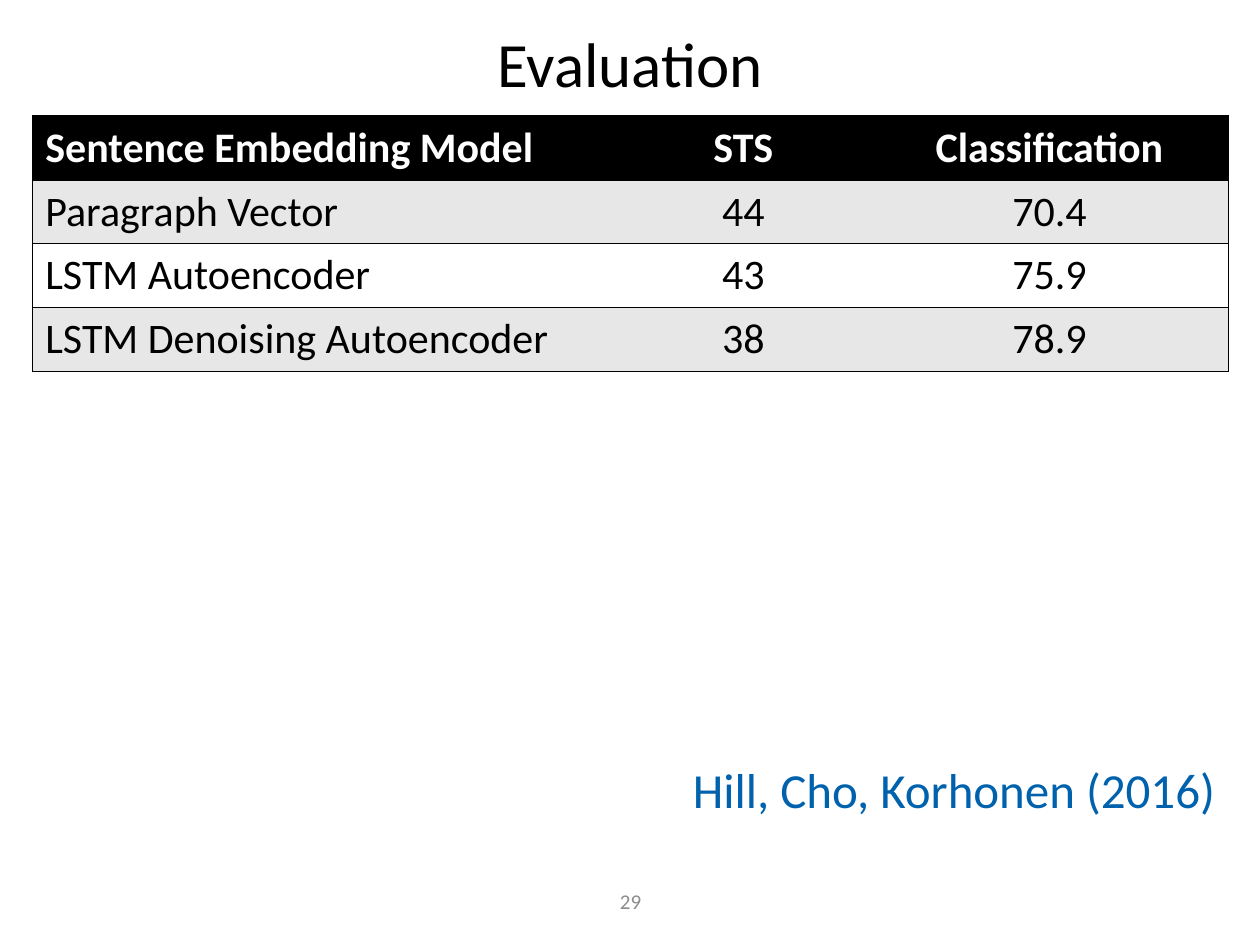
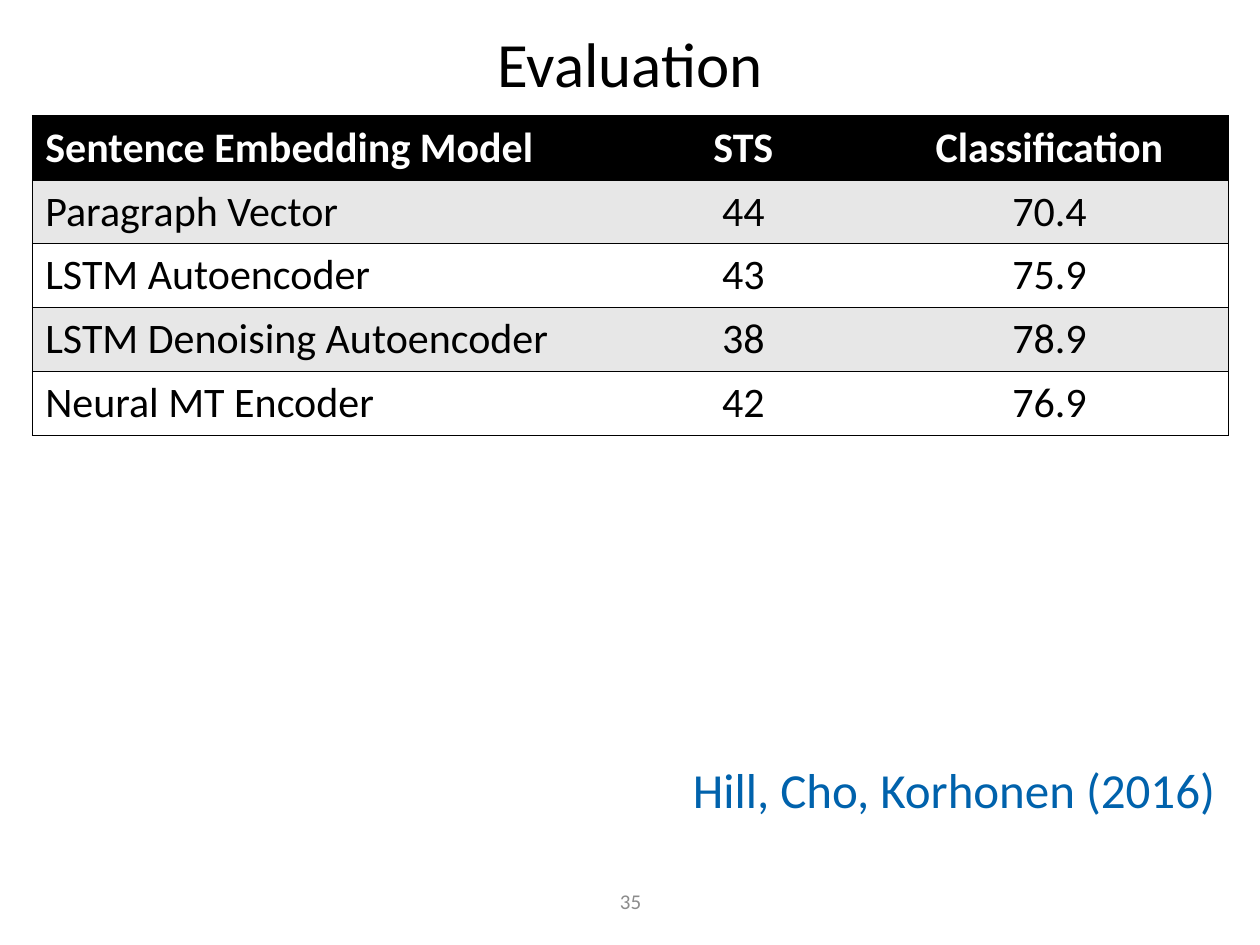
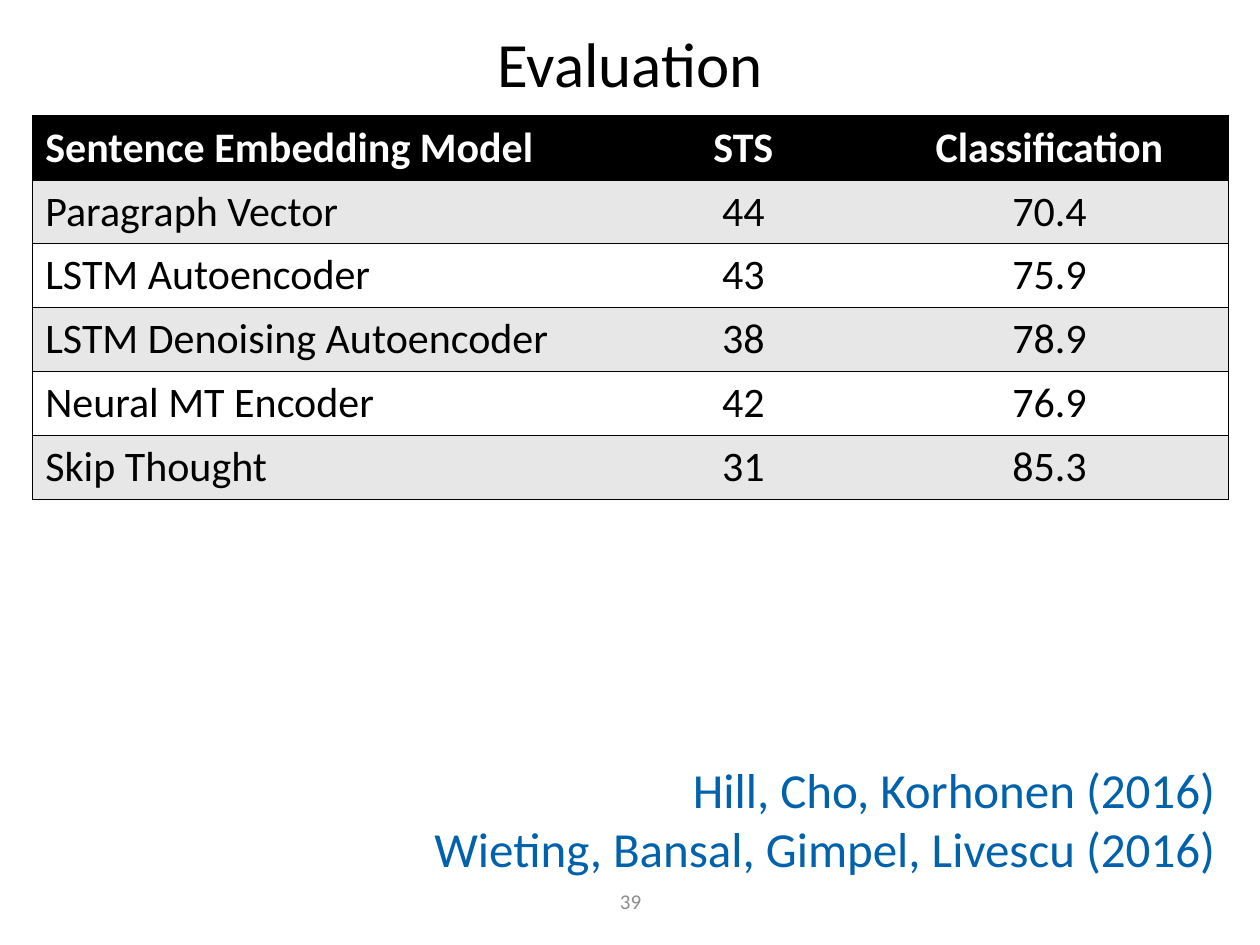
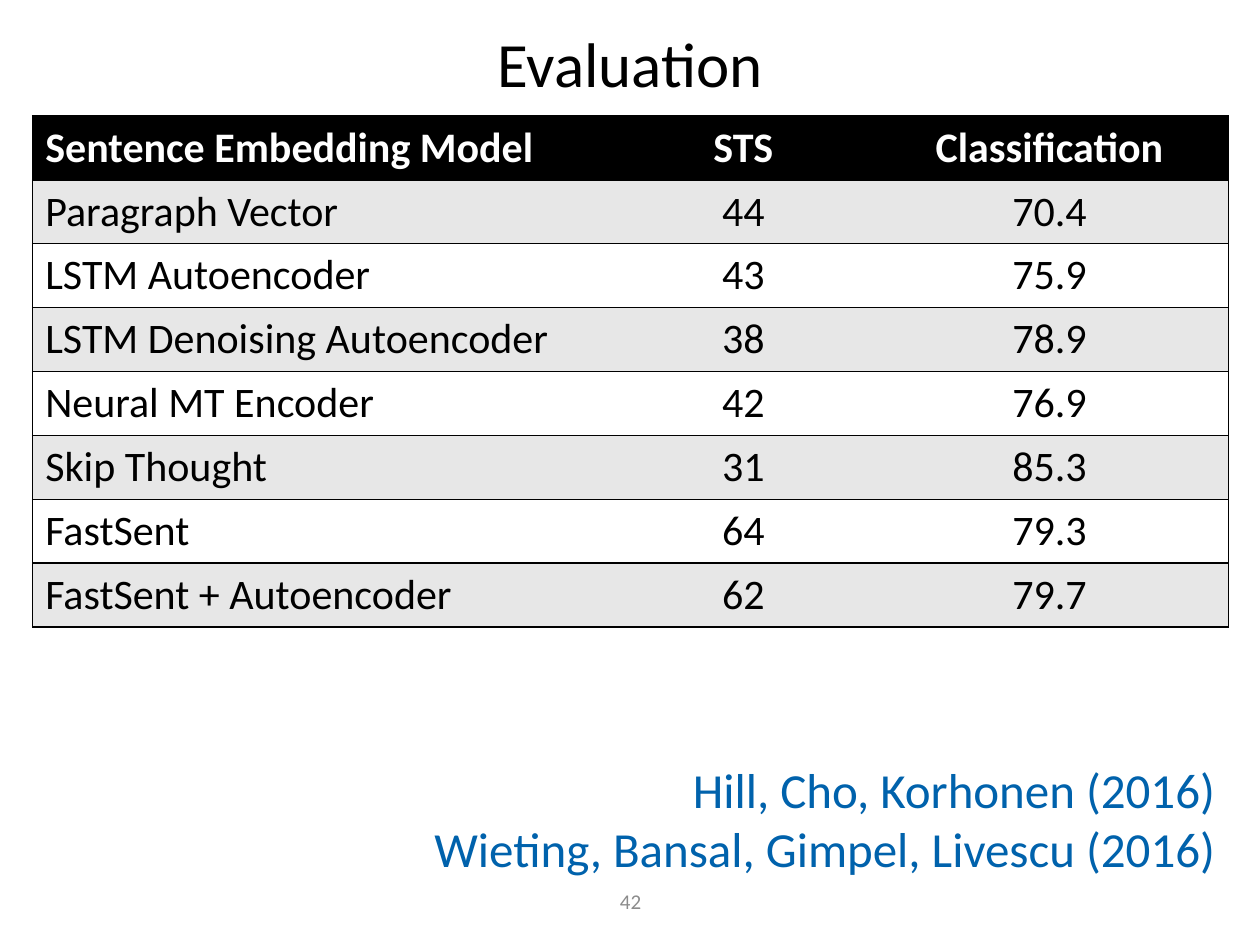
import pptx
import pptx.dml.color
import pptx.enum.text
import pptx.oxml
import pptx.oxml.ns
import pptx.util
from dataclasses import dataclass

Inches = pptx.util.Inches
Pt = pptx.util.Pt
Color = pptx.dml.color.RGBColor.from_string
Align = pptx.enum.text.PP_ALIGN
Anchor = pptx.enum.text.MSO_ANCHOR
Fit = pptx.enum.text.MSO_AUTO_SIZE


@dataclass(frozen=True)
class Theme:
    font: str = "Calibri"
    ink: str = "000000"
    paper: str = "FFFFFF"
    band: str = "E7E7E7"
    cite: str = "0062AC"
    mute: str = "8C8C8C"
    title: int = 36
    body: int = 24
    note: int = 28
    foot: int = 12
    rule: float = 1


THEME = Theme()

# Boxes: left, top, width, height in inches
TITLE = (0.5, 0.1, 9, 0.79)
GRID = (0.26, 0.92, 9.49, 0.5)  # height of one row
CITE = (3.12, 5.98, 6.62, 0.57)
FOOT = (3.42, 6.95, 3.17, 0.4)
COLS = (4.63, 2.02, 2.84)
ROW = 0.41  # least row height
LINE = 0.47  # each further citation line

HEAD = ("Sentence Embedding Model", "STS", "Classification")
MODELS = (
    ("Paragraph Vector", "44", "70.4"),
    ("LSTM Autoencoder", "43", "75.9"),
    ("LSTM Denoising Autoencoder", "38", "78.9"),
    ("Neural MT Encoder", "42", "76.9"),
    ("Skip Thought", "31", "85.3"),
    ("FastSent", "64", "79.3"),
    ("FastSent + Autoencoder", "62", "79.7"),
)
PAPERS = ("Hill, Cho, Korhonen (2016)", "Wieting, Bansal, Gimpel, Livescu (2016)")

# Page number, models shown, papers cited
PAGES = ((29, 3, 1), (35, 4, 1), (39, 5, 2), (42, 7, 2))


def apply(item, style):
    for name, value in style.items():
        setattr(item, name, value)


def write(frame, lines, size, color, align, bold=False):
    frame.text = "\n".join(lines)
    for para in frame.paragraphs:
        para.alignment = align
        apply(para.font, {"name": THEME.font, "size": Pt(size), "bold": bold})
        para.font.color.rgb = Color(color)


def place(shape, box):
    sides = ("left", "top", "width", "height")
    apply(shape, dict(zip(sides, map(Inches, box))))


def edge(cell, side, color):
    """Draw one cell border, or clear it when color is None."""
    paint = (f'<a:solidFill><a:srgbClr val="{color}"/></a:solidFill>'
             if color else "<a:noFill/>")
    space = pptx.oxml.ns.nsdecls("a")
    cell._tc.get_or_add_tcPr().append(pptx.oxml.parse_xml(
        f'<a:ln{side} {space} w="{Pt(THEME.rule)}">{paint}</a:ln{side}>'))


def add_title(slide, box):
    shape = slide.shapes.title
    place(shape, box)
    shape.text_frame.vertical_anchor = Anchor.MIDDLE
    write(shape.text_frame, ["Evaluation"], THEME.title, THEME.ink, Align.CENTER)


def add_grid(slide, box, rows):
    left, top, width, step = box
    size = (left, top, width, step * len(rows))
    shape = slide.shapes.add_table(len(rows), len(COLS), *map(Inches, size))
    table = shape.table
    for col, wide in zip(table.columns, COLS):
        col.width = Inches(wide)
    for i, row in enumerate(rows):
        table.rows[i].height = Inches(ROW)
        head = i == 0
        fill = THEME.ink if head else (THEME.paper, THEME.band)[i % 2]
        for j, text in enumerate(row):
            cell = table.cell(i, j)
            # Only the outer sides and the row rules are drawn
            edge(cell, "L", THEME.ink if j == 0 else None)
            edge(cell, "R", THEME.ink if j == len(COLS) - 1 else None)
            edge(cell, "T", THEME.ink)
            edge(cell, "B", THEME.ink)
            cell.fill.solid()
            cell.fill.fore_color.rgb = Color(fill)
            write(cell.text_frame, [text], THEME.body,
                  THEME.paper if head else THEME.ink,
                  Align.CENTER if j else Align.LEFT, head)
    shape.height = Inches(size[3])


def add_text(slide, box, lines, size, color, align, style):
    frame = slide.shapes.add_textbox(*map(Inches, box)).text_frame
    apply(frame, {"word_wrap": True, **style})
    write(frame, lines, size, color, align)


def add_cite(slide, box, lines):
    left, top, width, height = box
    tall = height + LINE * (len(lines) - 1)
    add_text(slide, (left, top, width, tall), lines, THEME.note, THEME.cite,
             Align.RIGHT, {"auto_size": Fit.SHAPE_TO_FIT_TEXT})


def add_foot(slide, box, page):
    add_text(slide, box, [str(page)], THEME.foot, THEME.mute,
             Align.CENTER, {"vertical_anchor": Anchor.MIDDLE})


def add_page(deck, page, shown, cited):
    slide = deck.slides.add_slide(deck.slide_layouts[5])
    add_title(slide, TITLE)
    add_grid(slide, GRID, (HEAD, *MODELS[:shown]))
    add_foot(slide, FOOT, page)
    add_cite(slide, CITE, PAPERS[:cited])


def main():
    deck = pptx.Presentation()
    apply(deck, {"slide_width": Inches(10), "slide_height": Inches(7.5)})
    for page in PAGES:
        add_page(deck, *page)
    deck.save("out.pptx")


if __name__ == "__main__":
    main()
